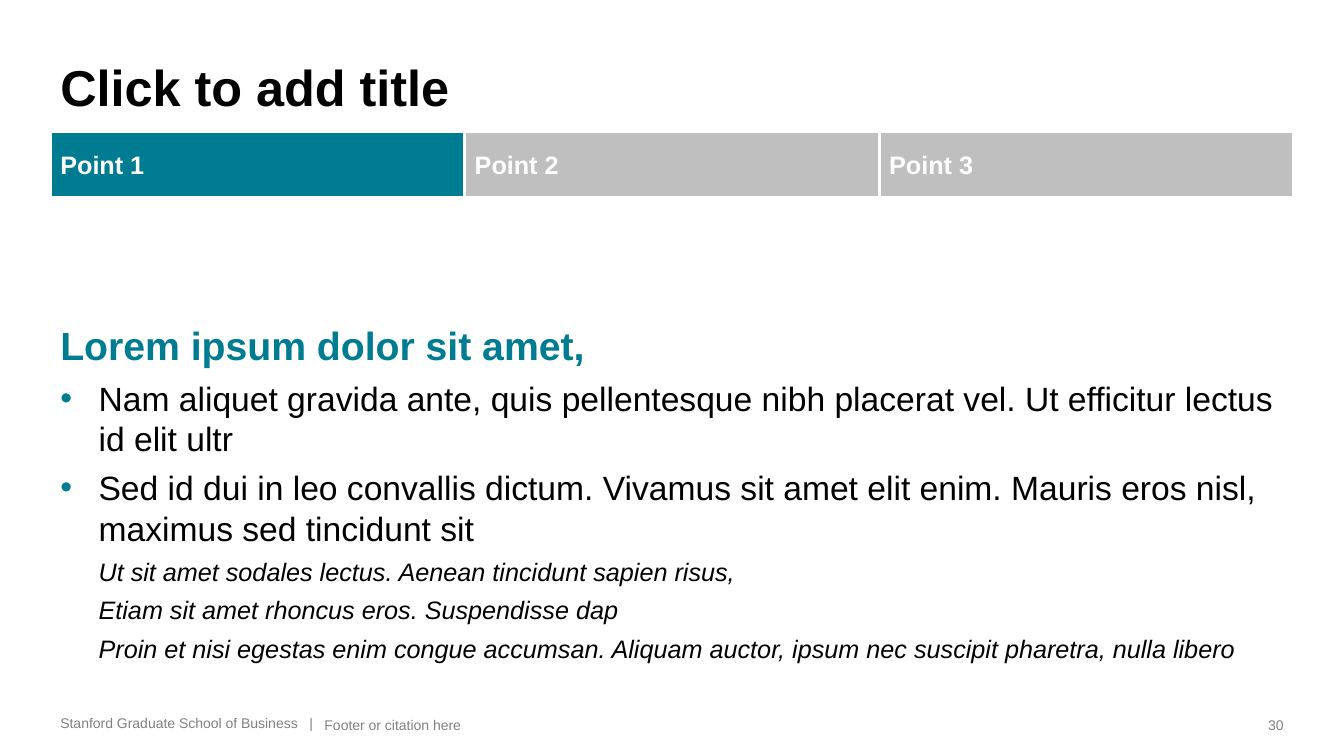
from lxml.etree import SubElement
from pptx import Presentation
from pptx.dml.color import RGBColor
from pptx.enum.shapes import MSO_SHAPE
from pptx.enum.text import MSO_ANCHOR, PP_ALIGN
from pptx.oxml.ns import qn
from pptx.util import Inches, Pt

COLORS = {"teal": "007C92", "silver": "BFBFBF", "gray": "808080",
          "black": "000000", "white": "FFFFFF"}
FORMATS = {
    "title": {"size": Pt(36), "bold": True, "color": "black"},
    "tab": {"size": Pt(18), "bold": True, "color": "white"},
    "heading": {"size": Pt(28), "bold": True, "color": "teal"},
    "bullet": {"size": Pt(24), "color": "black"},
    "detail": {"size": Pt(18), "italic": True, "color": "black"},
    "footer": {"size": Pt(10), "color": "gray"},
}
SPACE_BEFORE = {"heading": 0, "bullet": 6.4, "detail": 6}
INDENT = 0.38
MARGIN, CONTENT_WIDTH = 0.5, 12.33
BODY = [
    ("heading", "Lorem ipsum dolor sit amet,"),
    ("bullet", "Nam aliquet gravida ante, quis pellentesque nibh placerat vel. "
               "Ut efficitur lectus id elit ultr"),
    ("bullet", "Sed id dui in leo convallis dictum. Vivamus sit amet elit enim. "
               "Mauris eros nisl, maximus sed tincidunt sit"),
    ("detail", "Ut sit amet sodales lectus. Aenean tincidunt sapien risus,"),
    ("detail", "Etiam sit amet rhoncus eros. Suspendisse dap"),
    ("detail", "Proin et nisi egestas enim congue accumsan. Aliquam auctor, "
               "ipsum nec suscipit pharetra, nulla libero"),
]


def color(name):
    return RGBColor.from_string(COLORS[name])


def write(paragraph, text, format_name):
    paragraph.text = text
    font = paragraph.font
    font.name = "Arial"
    for attribute, value in FORMATS[format_name].items():
        if attribute == "color":
            font.color.rgb = color(value)
        else:
            setattr(font, attribute, value)


def add_text(slide, box, text, format_name, anchor=MSO_ANCHOR.TOP,
             align=PP_ALIGN.LEFT, wrap=True):
    frame = slide.shapes.add_textbox(*map(Inches, box)).text_frame
    frame.word_wrap = wrap
    frame.vertical_anchor = anchor
    paragraph = frame.paragraphs[0]
    write(paragraph, text, format_name)
    paragraph.alignment = align
    return frame


def add_tabs(slide, box, labels, active):
    """Equal tabs across the box, with the active one in teal."""
    left, top, width, height = box
    step = width / len(labels)
    for index, label in enumerate(labels):
        tab = slide.shapes.add_shape(
            MSO_SHAPE.RECTANGLE, Inches(left + index * step), Inches(top),
            Inches(step), Inches(height))
        tab.shadow.inherit = False
        tab.fill.solid()
        tab.fill.fore_color.rgb = color("teal" if index == active else "silver")
        tab.line.color.rgb = color("white")
        tab.line.width = Pt(2.25)
        tab.text_frame.vertical_anchor = MSO_ANCHOR.MIDDLE
        paragraph = tab.text_frame.paragraphs[0]
        write(paragraph, label, "tab")
        paragraph.alignment = PP_ALIGN.LEFT


def indent(paragraph, bulleted):
    properties = paragraph._p.get_or_add_pPr()
    properties.set("marL", str(Inches(INDENT)))
    properties.set("indent", str(Inches(-INDENT if bulleted else 0)))
    if bulleted:
        bullet_color = SubElement(properties, qn("a:buClr"))
        SubElement(bullet_color, qn("a:srgbClr"), val=COLORS["teal"])
        SubElement(properties, qn("a:buFont"), typeface="Arial")
        SubElement(properties, qn("a:buChar"), char="•")


def add_body(slide, box, items):
    frame = add_text(slide, box, items[0][1], items[0][0])
    for level, text in items[1:]:
        paragraph = frame.add_paragraph()
        paragraph.space_before = Pt(SPACE_BEFORE[level])
        indent(paragraph, level == "bullet")
        write(paragraph, text, level)


def add_footer(slide, box):
    left, top, width, height = box
    number_width, note_offset = 0.39, 2.62
    bottom = MSO_ANCHOR.BOTTOM
    add_text(slide, (left, top, 2.72, 0.27),
             "Stanford Graduate School of Business\u00a0\u00a0 |".replace("\u00a0", " "),
             "footer", bottom, wrap=False)
    add_text(slide, (left + note_offset, top, 9.17, height),
             "Footer or citation here", "footer", bottom)
    add_text(slide, (left + width - number_width, top, number_width, height),
             "30", "footer", bottom, PP_ALIGN.RIGHT, wrap=False)


def main():
    presentation = Presentation()
    presentation.slide_width = Inches(13.33)
    presentation.slide_height = Inches(7.5)
    slide = presentation.slides.add_slide(presentation.slide_layouts[6])
    add_text(slide, (MARGIN, 0.5, CONTENT_WIDTH, 0.71), "Click to add title",
             "title", MSO_ANCHOR.BOTTOM)
    add_tabs(slide, (MARGIN, 1.3, CONTENT_WIDTH, 0.66),
             ["Point 1", "Point 2", "Point 3"], active=0)
    add_body(slide, (MARGIN, 3.14, CONTENT_WIDTH, 3.73), BODY)
    add_footer(slide, (MARGIN, 7.03, CONTENT_WIDTH, 0.29))
    presentation.save("out.pptx")


if __name__ == "__main__":
    main()
